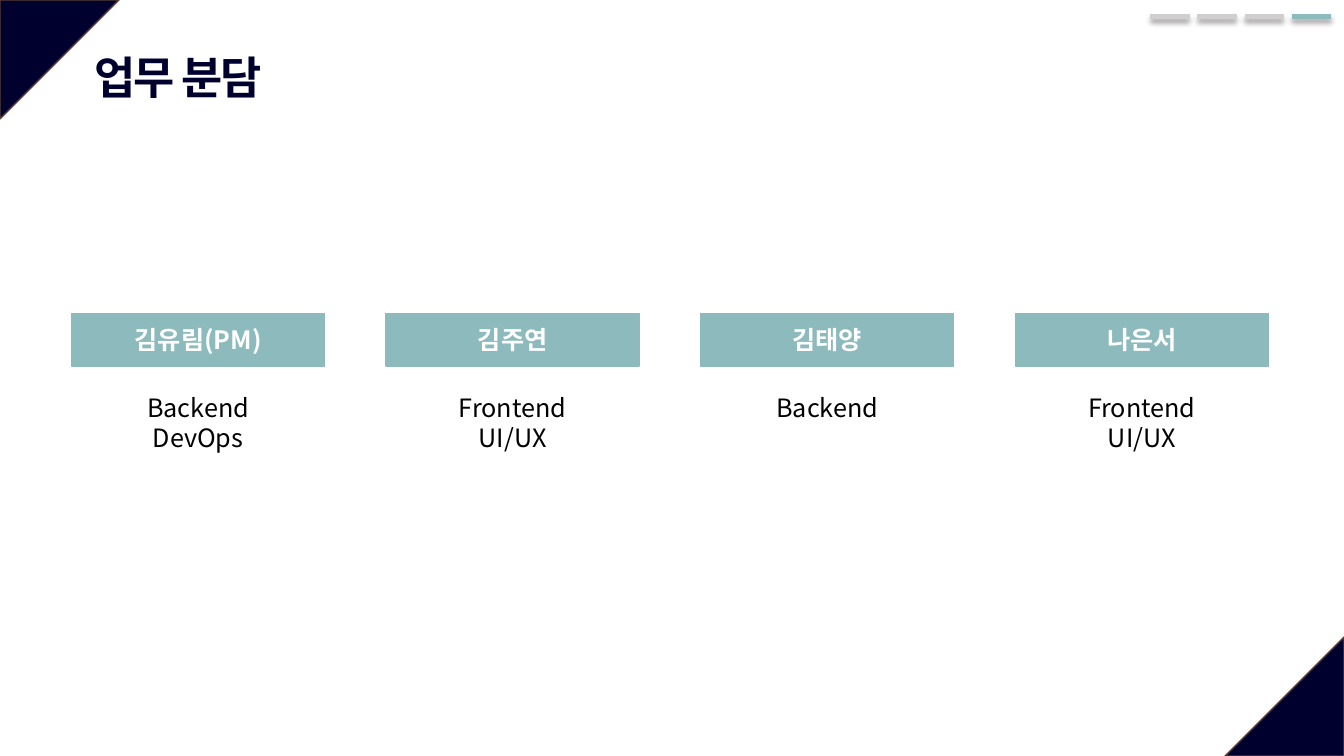
from dataclasses import dataclass

from lxml.etree import SubElement
from pptx import Presentation
from pptx.dml.color import RGBColor
from pptx.enum.shapes import MSO_CONNECTOR, MSO_SHAPE
from pptx.enum.text import MSO_ANCHOR, MSO_AUTO_SIZE, PP_ALIGN
from pptx.oxml.ns import qn
from pptx.shapes.autoshape import Shape
from pptx.slide import Slide
from pptx.text.text import TextFrame
from pptx.util import Inches, Pt

FONT = "Noto Sans CJK KR"
NAVY = RGBColor(0x00, 0x00, 0x2F)
BROWN = RGBColor(0x5B, 0x3F, 0x33)
TEAL = RGBColor(0x8D, 0xBA, 0xBD)
GRAY = RGBColor(0xD0, 0xCE, 0xCE)
WHITE = RGBColor(0xFF, 0xFF, 0xFF)
BLACK = RGBColor(0x00, 0x00, 0x00)

WIDTH, HEIGHT = 13.33, 7.5
CORNER = 1.18
CARD_LEFT, CARD_STEP, CARD_WIDTH = 0.71, 3.12, 2.51
MARK_LEFT, MARK_STEP, MARK_WIDTH, MARK_TOP = 11.41, 0.467, 0.39, 0.16
MARKS = 4


@dataclass
class Member:
    name: str
    roles: list[str]


TEAM = [
    Member("김유림(PM)", ["Backend", "DevOps"]),
    Member("김주연", ["Frontend", "UI/UX"]),
    Member("김태양", ["Backend"]),
    Member("나은서", ["Frontend", "UI/UX"]),
]


def write(frame: TextFrame, lines: list[str], size: float, color: RGBColor,
          bold: bool = False, align: PP_ALIGN = PP_ALIGN.CENTER,
          space: float = 0) -> None:
    """Fill a frame with one paragraph per line; space is letter spacing in points."""
    frame.text = "\n".join(lines)
    for para in frame.paragraphs:
        para.alignment = align
        font = para.font
        font.name, font.size, font.bold = FONT, Pt(size), bold
        font.color.rgb = color
        props = para._p.pPr.find(qn("a:defRPr"))
        SubElement(props, qn("a:ea"), typeface=FONT)
        if space:
            props.set("spc", str(round(space * 100)))


def add_box(slide: Slide, kind: MSO_SHAPE, left: float, top: float, width: float,
            height: float, fill: RGBColor, edge: RGBColor) -> Shape:
    box = slide.shapes.add_shape(
        kind, Inches(left), Inches(top), Inches(width), Inches(height))
    box.shadow.inherit = False
    box.fill.solid()
    box.fill.fore_color.rgb = fill
    box.line.color.rgb = edge
    box.line.width = Pt(1)
    return box


def add_corner(slide: Slide, left: float, top: float, turn: float) -> None:
    corner = add_box(slide, MSO_SHAPE.ISOSCELES_TRIANGLE, left, top,
                     CORNER, CORNER, NAVY, BROWN)
    corner.adjustments[0] = 0
    corner.rotation = turn


def add_label(slide: Slide, left: float, top: float, width: float,
              height: float, wrap: bool) -> TextFrame:
    label = slide.shapes.add_textbox(
        Inches(left), Inches(top), Inches(width), Inches(height))
    frame = label.text_frame
    frame.word_wrap = wrap
    frame.auto_size = MSO_AUTO_SIZE.SHAPE_TO_FIT_TEXT
    return frame


def add_card(slide: Slide, left: float, member: Member) -> None:
    head = add_box(slide, MSO_SHAPE.RECTANGLE, left, 3.11, CARD_WIDTH, 0.52, TEAL, TEAL)
    head.text_frame.vertical_anchor = MSO_ANCHOR.MIDDLE
    write(head.text_frame, [member.name], 18, WHITE, bold=True)
    height = 0.1 + 0.3 * len(member.roles)
    roles = add_label(slide, left, 3.84, CARD_WIDTH, height, wrap=True)
    write(roles, member.roles, 18, BLACK)


def add_mark(slide: Slide, left: float, color: RGBColor) -> None:
    """Draw one dash of the progress marker with its soft shadow."""
    mark = slide.shapes.add_connector(
        MSO_CONNECTOR.STRAIGHT, Inches(left), Inches(MARK_TOP),
        Inches(left + MARK_WIDTH), Inches(MARK_TOP))
    mark.line.color.rgb = color
    mark.line.width = Pt(3.5)
    effects = SubElement(mark._element.spPr, qn("a:effectLst"))
    shadow = SubElement(effects, qn("a:outerShdw"), blurRad=str(Pt(4)),
                        dist=str(Pt(3)), dir="5400000", rotWithShape="0")
    tint = SubElement(shadow, qn("a:srgbClr"), val=str(BLACK))
    SubElement(tint, qn("a:alpha"), val="40000")


def main() -> None:
    deck = Presentation()
    deck.slide_width, deck.slide_height = Inches(WIDTH), Inches(HEIGHT)
    slide = deck.slides.add_slide(deck.slide_layouts[6])

    add_corner(slide, 0, 0, 90)
    add_corner(slide, WIDTH - CORNER, HEIGHT - CORNER, 270)

    title = add_label(slide, 0.84, 0.44, 2.05, 0.64, wrap=False)
    write(title, ["업무 분담"], 32, NAVY, bold=True, align=PP_ALIGN.LEFT, space=-1.5)

    for i, member in enumerate(TEAM):
        add_card(slide, CARD_LEFT + i * CARD_STEP, member)
    for i in range(MARKS):
        add_mark(slide, MARK_LEFT + i * MARK_STEP, TEAL if i == MARKS - 1 else GRAY)

    deck.save("out.pptx")


if __name__ == "__main__":
    main()
